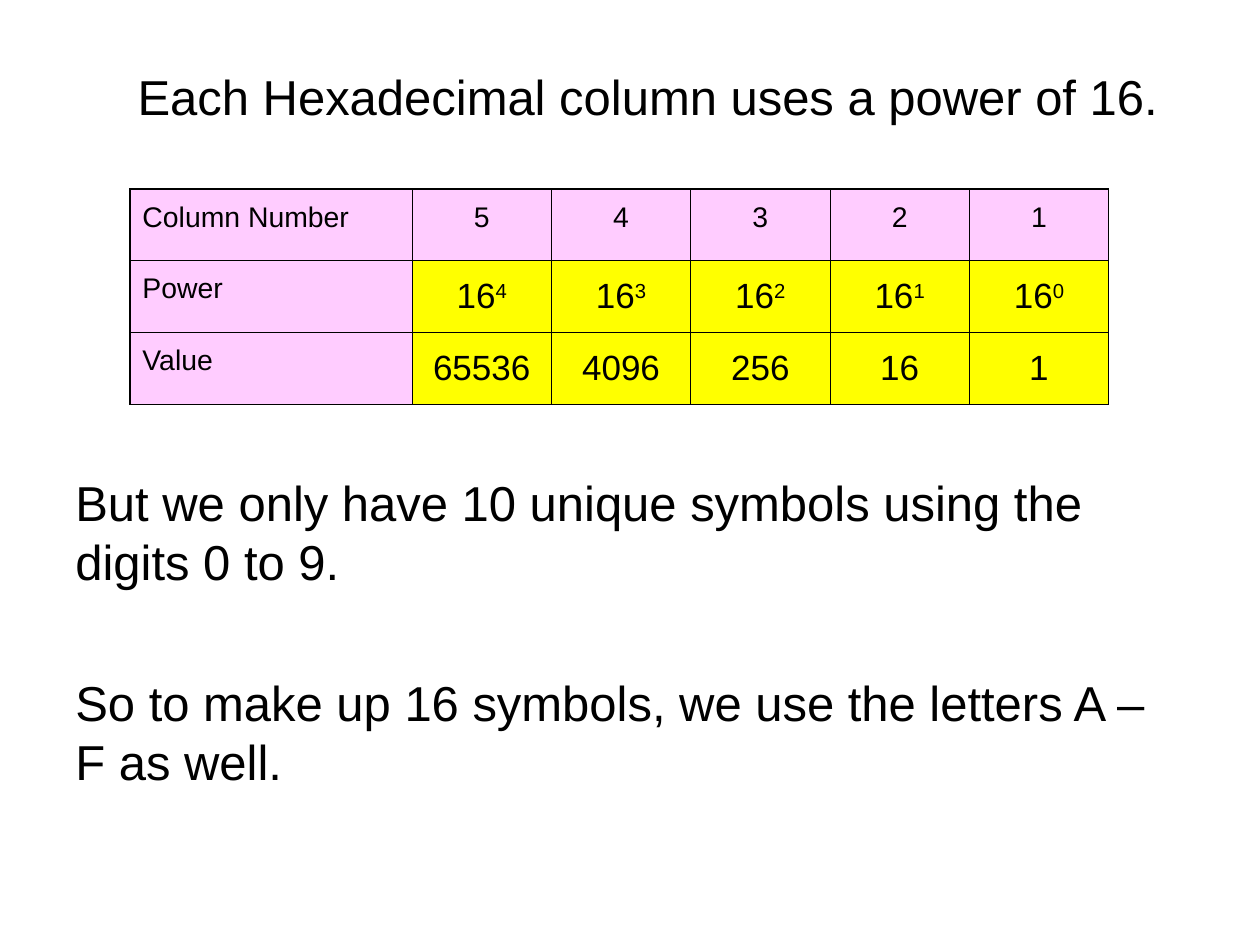
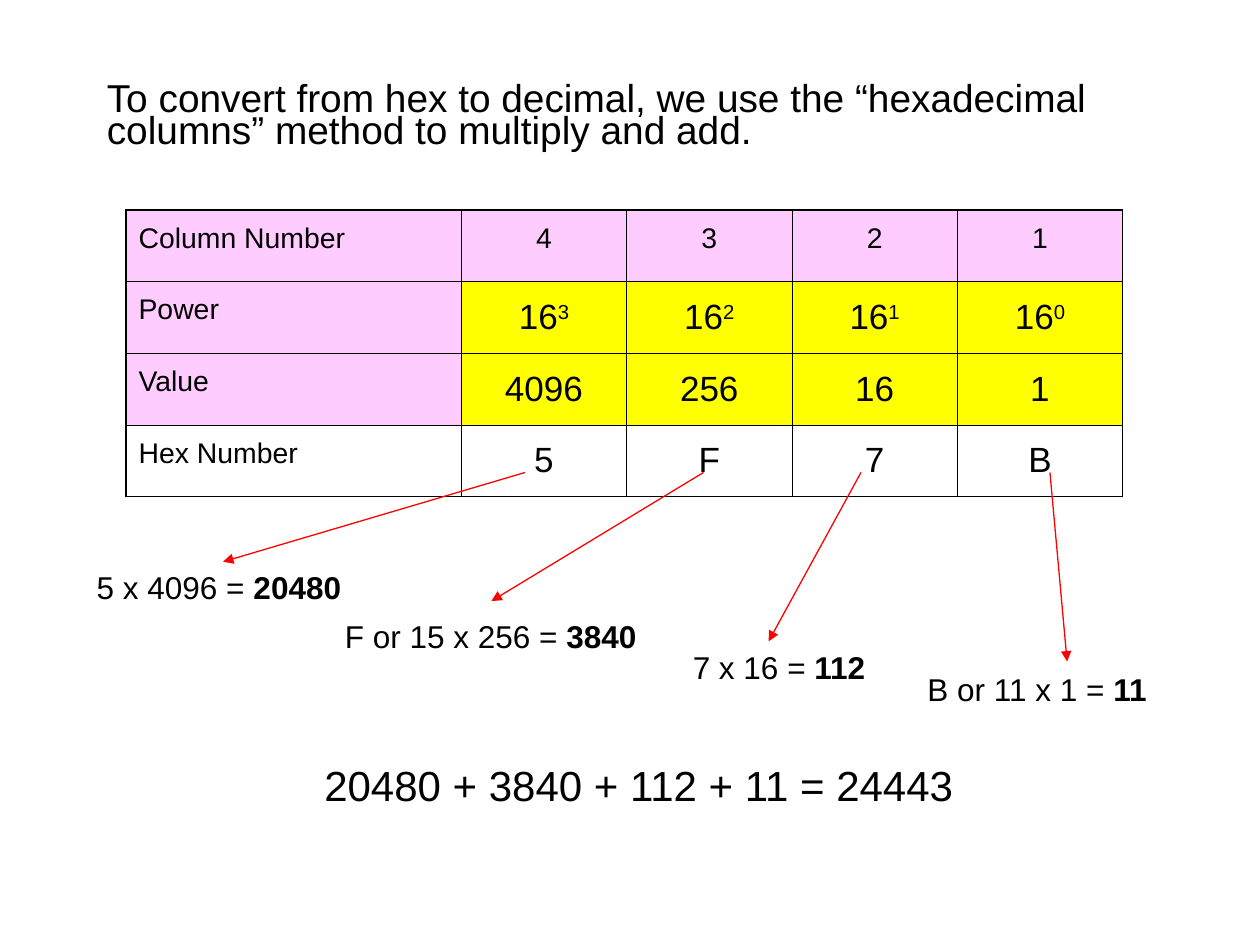
import pptx
import pptx.dml.color
import pptx.enum.shapes
import pptx.enum.text
import pptx.oxml
import pptx.oxml.ns
import pptx.util
from lxml import etree

Pt = pptx.util.Pt
qn = pptx.oxml.ns.qn
ALIGN = pptx.enum.text.PP_ALIGN
ANCHOR = pptx.enum.text.MSO_ANCHOR

FONT = "Arial"
BLACK, WHITE, RED = "000000", "FFFFFF", "FF0000"
PINK, YELLOW = "FFCCFF", "FFFF00"
THIN, THICK = 0.45, 1.08
ROW_HEIGHT = 40.95
RAISED = 30000

POWERS_TITLE = "Each Hexadecimal column uses a power of 16."
SYMBOL_NOTES = [
    "But we only have 10 unique symbols using the digits 0 to 9.",
    "So to make up 16 symbols, we use the letters A – F as well.",
]
CONVERT_TITLE = ("To convert from hex to decimal, we use the “hexadecimal "
                 "columns” method to multiply and add.")
HEX_DIGITS = "5F7B"
TOTAL = "20480 + 3840 + 112 + 11 = 24443"
# working, result, text box (left, top, width), arrow start, arrow end
PRODUCTS = [
    ("5 x 4096 = ", "20480", (48.2, 321, 154), (300, 270), (127.5, 321)),
    ("F or 15 x 256 = ", "3840", (190, 349.3, 181), (402, 270), (280.8, 343.5)),
    ("7 x 16 = ", "112", (388.8, 366.5, 114), (492, 270), (439.2, 366.5)),
    ("B or 11 x 1 = ", "11", (522.9, 379.3, 142), (600, 270), (609.8, 378)),
]


def rgb(hex_colour):
    return pptx.dml.color.RGBColor.from_string(hex_colour)


def add_run(p, text, size, bold=False, raised=False):
    r = p.add_run()
    r.text = text
    for name, value in dict(name=FONT, size=Pt(size), bold=bold).items():
        setattr(r.font, name, value)
    r.font.color.rgb = rgb(BLACK)
    if raised:
        r.font._element.set("baseline", str(RAISED))


def add_text(slide, box, paragraphs, size, inset_top=3.6, wrap=True, gap=0, **layout):
    """Each paragraph is a list of (text, bold) runs; gap separates paragraphs."""
    tf = slide.shapes.add_textbox(*map(Pt, box)).text_frame
    frame = dict(word_wrap=wrap, margin_top=Pt(inset_top),
                 margin_left=Pt(7.2), margin_right=Pt(7.2))
    for name, value in frame.items():
        setattr(tf, name, value)
    for i, runs in enumerate(paragraphs):
        p = tf.add_paragraph() if i else tf.paragraphs[0]
        if i:
            p.space_before = Pt(gap)
        for name, value in layout.items():
            setattr(p, name, value)
        for text, bold in runs:
            add_run(p, text, size, bold)


def set_borders(cell, widths):
    """Widths are given in points for left, right, top and bottom."""
    tc_pr = cell._tc.get_or_add_tcPr()
    for i, (side, width) in enumerate(zip("LRTB", widths)):
        ln = etree.Element(qn(f"a:ln{side}"), w=str(int(Pt(width))))
        fill = etree.SubElement(ln, qn("a:solidFill"))
        etree.SubElement(fill, qn("a:srgbClr"), val=BLACK)
        tc_pr.insert(i, ln)


def add_powers_table(slide, left, top, label_width, column_width, count, digits=""):
    """Table of the lowest powers of 16, with a row of hex digits if given."""
    exponents = range(count - 1, -1, -1)
    rows = [
        ("Column Number", [e + 1 for e in exponents], PINK, PINK),
        ("Power", [16] * count, PINK, YELLOW),
        ("Value", [16 ** e for e in exponents], PINK, YELLOW),
    ]
    if digits:
        rows.append(("Hex Number", digits, WHITE, WHITE))
    widths = [label_width] + [column_width] * count
    frame = slide.shapes.add_table(len(rows), len(widths), Pt(left), Pt(top),
                                   Pt(sum(widths)), Pt(ROW_HEIGHT * len(rows)))
    table = frame.table
    table.first_row = table.horz_banding = False
    for column, width in zip(table.columns, widths):
        column.width = Pt(width)
    for i, (label, values, label_fill, value_fill) in enumerate(rows):
        table.rows[i].height = Pt(ROW_HEIGHT)
        for j, text in enumerate([label, *values]):
            cell = table.cell(i, j)
            cell.vertical_anchor = ANCHOR.MIDDLE
            cell.fill.solid()
            cell.fill.fore_color.rgb = rgb(value_fill if j else label_fill)
            set_borders(cell, (THIN if j else THICK,
                               THICK if j == count else THIN,
                               THIN if i else THICK, THIN))
            p = cell.text_frame.paragraphs[0]
            p.alignment = ALIGN.CENTER if j else ALIGN.LEFT
            is_heading = i == 0 or j == 0
            add_run(p, str(text), 28 if is_heading else 20, raised=is_heading)
            if label == "Power" and j:
                add_run(p, str(exponents[j - 1]), 20, raised=True)


def add_arrow(slide, start, end):
    s = slide.shapes.add_connector(pptx.enum.shapes.MSO_CONNECTOR.STRAIGHT,
                                   *map(Pt, start + end))
    s.line.color.rgb = rgb(RED)
    s.line.width = Pt(0.75)
    etree.SubElement(s.line._get_or_add_ln(), qn("a:tailEnd"), type="triangle")
    etree.SubElement(s._element.spPr, qn("a:effectLst"))


def build_powers_slide(slide):
    add_text(slide, (44, 36, 652, 73), [[(POWERS_TITLE, False)]], 28,
             inset_top=6, alignment=ALIGN.CENTER, line_spacing=0.9)
    add_text(slide, (36, 264.2, 636, 189), [[(note, False)] for note in SYMBOL_NOTES],
             28, inset_top=6, gap=47)
    add_powers_table(slide, 74.2, 108, 161.3, 79.6, 5)


def build_convert_slide(slide):
    add_text(slide, (54, 43.2, 629, 45), [[(CONVERT_TITLE, False)]], 22.2,
             inset_top=6, line_spacing=0.7)
    for working, result, (left, top, width), start, end in PRODUCTS:
        add_text(slide, (left, top, width, 29), [[(working, False), (result, True)]],
                 18, wrap=False)
    add_text(slide, (46.8, 430.6, 636.5, 36), [[(TOTAL, False)]], 24,
             alignment=ALIGN.CENTER)
    add_powers_table(slide, 72, 120, 191.6, 94.5, 4, HEX_DIGITS)
    for *_, start, end in PRODUCTS:
        add_arrow(slide, start, end)


def main():
    prs = pptx.Presentation()
    prs.slide_width, prs.slide_height = Pt(720), Pt(540)
    for build in (build_powers_slide, build_convert_slide):
        build(prs.slides.add_slide(prs.slide_layouts[6]))
    prs.save("out.pptx")


if __name__ == "__main__":
    main()
